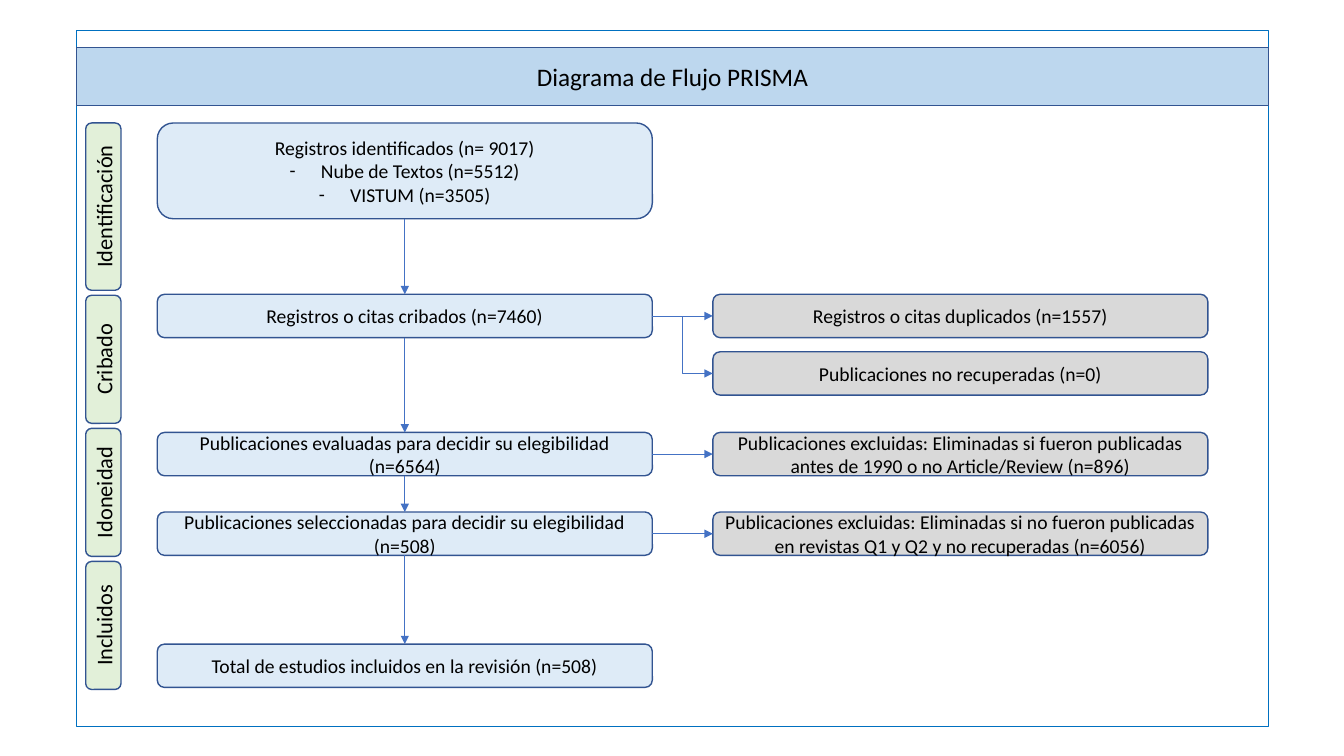
from lxml import etree
from pptx import Presentation
from pptx import util as u
from pptx.dml.color import RGBColor
from pptx.enum import shapes, text
from pptx.oxml.ns import qn

TITLE = "Diagrama de Flujo PRISMA"
FONT = "Calibri"
BLACK, OUTLINE, ARROW, FRAME = "000000", "325491", "4472C4", "0070C0"
TITLE_FILL, STAGE_FILL, KEPT_FILL, EXCLUDED_FILL = "BDD7EE", "E2F0D9", "DEEBF7", "D9D9D9"

# Inches: (left, width) of each column, (top, height) of each band
FRAME_X, STAGE_X = (0.76, 11.82), (0.85, 0.35)
KEPT_X, EXCLUDED_X = (1.56, 4.91), (7.07, 4.91)
FRAME_Y, TITLE_Y = (0.3, 6.91), (0.47, 0.58)
TOP, FIRST_STAGE, STAGE, STAGE_GAP = 1.22, 1.66, 1.27, 0.05
SOURCES_HEIGHT, BOX_HEIGHT = 0.95, 0.43

STAGES = ["Identificación", "Cribado", "Idoneidad", "Incluidos"]
# (top, paragraphs); paragraphs after the first are bulleted
KEPT = [
    (TOP, ["Registros identificados (n= 9017)", "Nube de Textos (n=5512)", "VISTUM (n=3505)"]),
    (2.92, ["Registros o citas cribados (n=7460)"]),
    (4.29, ["Publicaciones evaluadas para decidir su elegibilidad (n=6564)"]),
    (5.08, ["Publicaciones seleccionadas para decidir su elegibilidad (n=508)"]),
    (6.39, ["Total de estudios incluidos en la revisión (n=508)"]),
]
# (index of the step it leaves, top, text)
EXCLUDED = [
    (1, 2.92, "Registros o citas duplicados (n=1557)"),
    (1, 3.49, "Publicaciones no recuperadas (n=0)"),
    (2, 4.29, "Publicaciones excluidas: Eliminadas si fueron publicadas "
              "antes de 1990 o no Article/Review (n=896)"),
    (3, 5.08, "Publicaciones excluidas: Eliminadas si no fueron publicadas "
              "en revistas Q1 y Q2 y no recuperadas (n=6056)"),
]
SITE_TOP, SITE_LEFT, SITE_BOTTOM, SITE_RIGHT = range(4)


def rgb(value):
    return RGBColor.from_string(value)


def outline(shape, color, width=1):
    shape.line.color.rgb = rgb(color)
    shape.line.width = u.Pt(width)


def write(shape, paragraphs, size):
    frame = shape.text_frame
    frame.text = "\n".join(paragraphs)
    frame.word_wrap = True
    frame.auto_size = text.MSO_AUTO_SIZE.NONE
    frame.vertical_anchor = text.MSO_ANCHOR.MIDDLE
    for index, paragraph in enumerate(frame.paragraphs):
        paragraph.alignment = text.PP_ALIGN.CENTER
        paragraph.font.name = FONT
        paragraph.font.size = u.Pt(size)
        paragraph.font.color.rgb = rgb(BLACK)
        if index:
            add_dash(paragraph)


def add_dash(paragraph):
    properties = paragraph._p.get_or_add_pPr()
    indent = u.Inches(0.31)
    properties.set("marL", str(indent))
    properties.set("indent", str(-indent))
    run_defaults = properties.find(qn("a:defRPr"))
    run_defaults.addprevious(etree.Element(qn("a:buFont"), typeface=FONT))
    run_defaults.addprevious(etree.Element(qn("a:buChar"), char="-"))


def add_box(slide, x, y, fill, paragraphs, size=14):
    (left, width), (top, height) = x, y
    box = slide.shapes.add_shape(shapes.MSO_SHAPE.ROUNDED_RECTANGLE,
                                 *map(u.Inches, (left, top, width, height)))
    box.shadow.inherit = False
    box.fill.solid()
    box.fill.fore_color.rgb = rgb(fill)
    outline(box, OUTLINE)
    write(box, paragraphs, size)
    return box


def add_arrow(slide, source, source_site, target, target_site, kind):
    arrow = slide.shapes.add_connector(kind, 0, 0, 0, 0)
    arrow.begin_connect(source, source_site)
    arrow.end_connect(target, target_site)
    outline(arrow, ARROW, 0.5)
    etree.SubElement(arrow.line._get_or_add_ln(), qn("a:tailEnd"), type="triangle")
    etree.SubElement(arrow._element.spPr, qn("a:effectLst"))


def main():
    deck = Presentation()
    deck.slide_width, deck.slide_height = u.Inches(13.33), u.Inches(7.5)
    slide = deck.slides.add_slide(deck.slide_layouts.get_by_name("Title Only"))

    border = slide.shapes.add_shape(
        shapes.MSO_SHAPE.RECTANGLE,
        *map(u.Inches, (FRAME_X[0], FRAME_Y[0], FRAME_X[1], FRAME_Y[1])))
    border.shadow.inherit = False
    border.fill.background()
    outline(border, FRAME)

    title = slide.shapes.title
    title._element.addprevious(border._element)
    title.left, title.width = map(u.Inches, FRAME_X)
    title.top, title.height = map(u.Inches, TITLE_Y)
    title.fill.solid()
    title.fill.fore_color.rgb = rgb(TITLE_FILL)
    outline(title, OUTLINE)
    write(title, [TITLE], 18)

    stage_top = TOP
    for index, name in enumerate(STAGES):
        height = STAGE if index else FIRST_STAGE
        stage = add_box(slide, STAGE_X, (stage_top, height), STAGE_FILL, [name], 16)
        stage.text_frame._txBody.bodyPr.set("vert", "vert270")
        stage_top += height + STAGE_GAP

    steps = []
    for top, paragraphs in KEPT:
        height = BOX_HEIGHT if steps else SOURCES_HEIGHT
        steps.append(add_box(slide, KEPT_X, (top, height), KEPT_FILL, paragraphs))
    for step, following in zip(steps, steps[1:]):
        add_arrow(slide, step, SITE_BOTTOM, following, SITE_TOP, shapes.MSO_CONNECTOR.STRAIGHT)

    for index, top, reason in EXCLUDED:
        excluded = add_box(slide, EXCLUDED_X, (top, BOX_HEIGHT), EXCLUDED_FILL, [reason])
        level = top == KEPT[index][0]
        kind = shapes.MSO_CONNECTOR.STRAIGHT if level else shapes.MSO_CONNECTOR.ELBOW
        add_arrow(slide, steps[index], SITE_RIGHT, excluded, SITE_LEFT, kind)

    deck.save("out.pptx")


if __name__ == "__main__":
    main()
